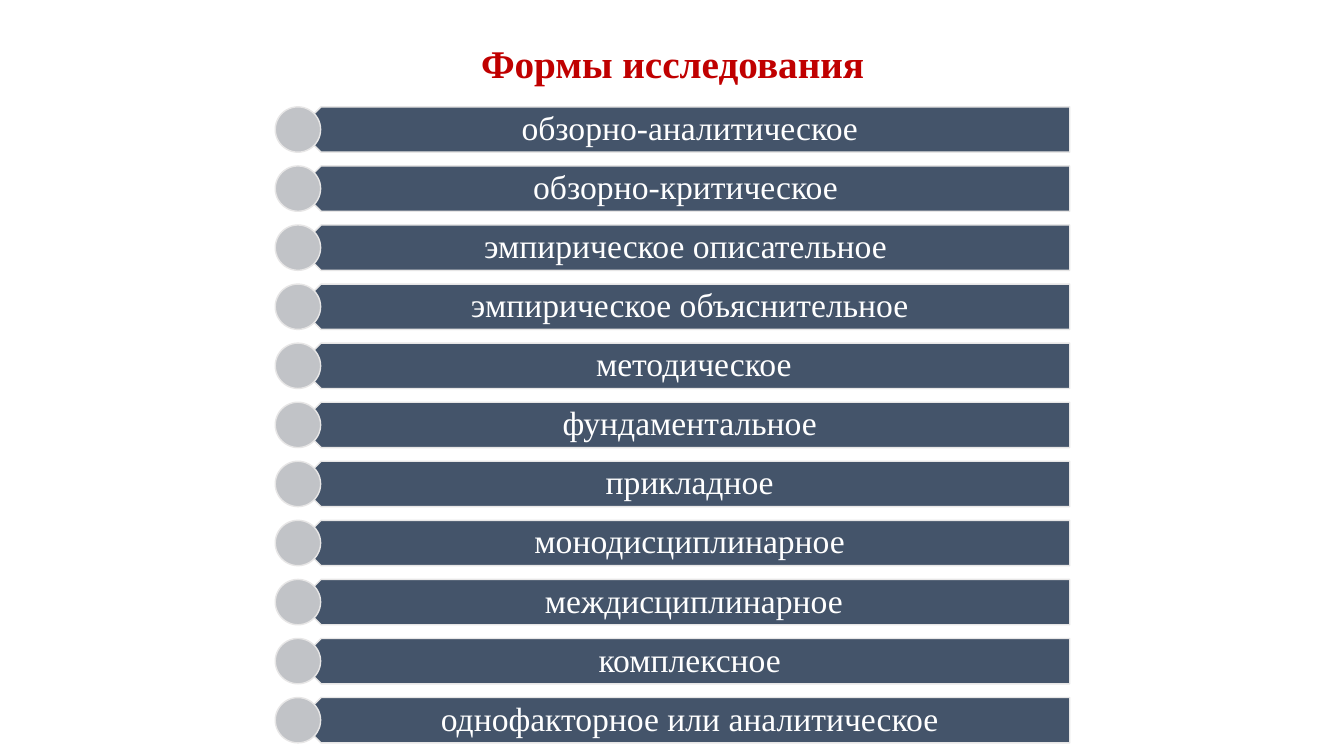
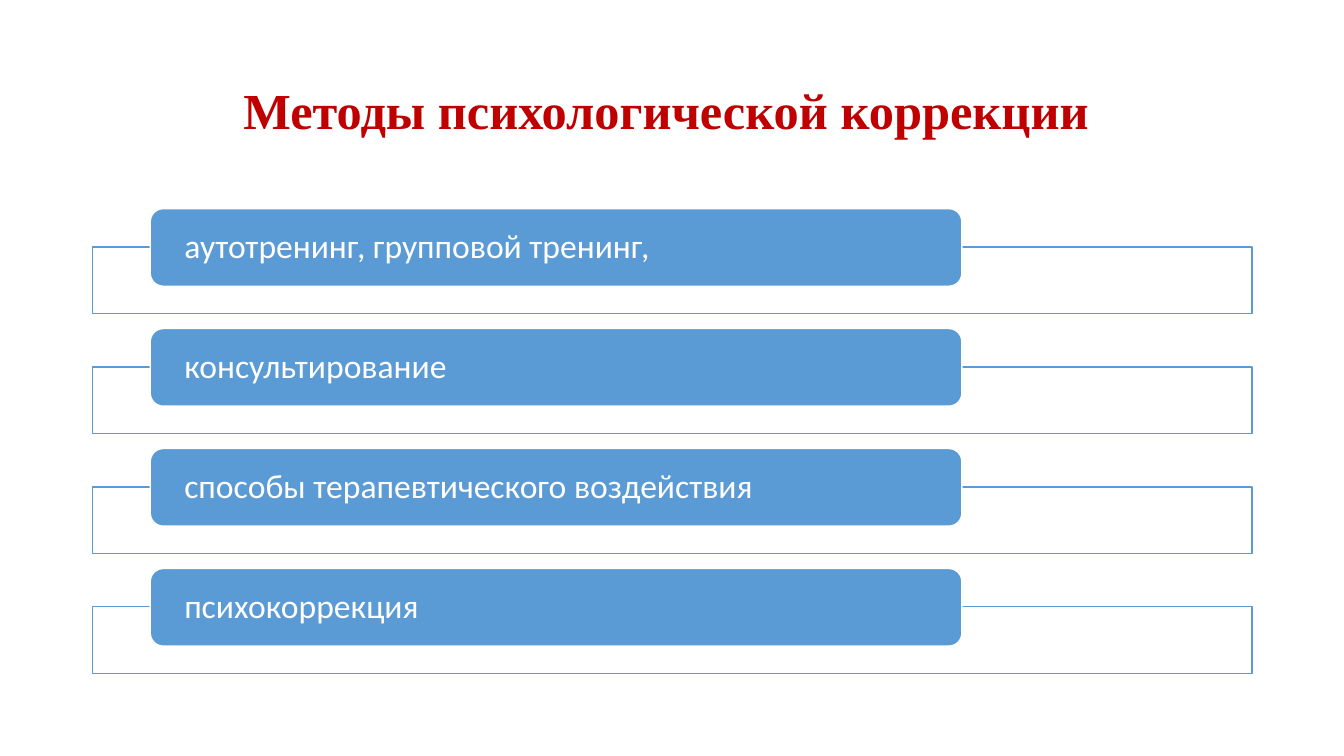
import pptx
import pptx.util
import pptx.dml.color
import pptx.enum.shapes
import pptx.enum.text
import pptx.oxml.ns
import lxml.etree

Inches = pptx.util.Inches
Pt = pptx.util.Pt
RGBColor = pptx.dml.color.RGBColor
SHAPE = pptx.enum.shapes.MSO_SHAPE
ALIGN = pptx.enum.text.PP_ALIGN
qn = pptx.oxml.ns.qn

RED = RGBColor(0xC0, 0x00, 0x00)
SLATE = RGBColor(0x44, 0x54, 0x6A)
SILVER = RGBColor(0xC1, 0xC3, 0xC7)
PALE = RGBColor(0xE7, 0xE6, 0xE6)
BLUE = RGBColor(0x5B, 0x9B, 0xD5)
WHITE = RGBColor(0xFF, 0xFF, 0xFF)
SERIF = "Times New Roman"
SANS = "Calibri"

RESEARCH_FORMS = [
    "обзорно-аналитическое",
    "обзорно-критическое ",
    "эмпирическое описательное ",
    "эмпирическое объяснительное",
    " методическое",
    "фундаментальное",
    "прикладное",
    "монодисциплинарное",
    " междисциплинарное",
    "комплексное",
    "однофакторное или аналитическое",
]
CORRECTION_METHODS = [
    "аутотренинг, групповой тренинг,",
    "консультирование",
    "способы терапевтического воздействия",
    "психокоррекция",
]


class Deck:
    """Holds the presentation, its shared style and the current slide."""

    def __init__(self):
        self.presentation = pptx.Presentation()
        self.presentation.slide_width = Inches(13.33)
        self.presentation.slide_height = Inches(7.5)
        self.slide = None

    def new_slide(self, heading, height, size):
        layout = self.presentation.slide_layouts[5]
        self.slide = self.presentation.slides.add_slide(layout)
        title = self.slide.shapes.title
        title.left, title.top = Inches(0.92), Inches(0.4)
        title.width, title.height = Inches(11.5), Inches(height)
        self.set_text(title, heading, size, SERIF, RED, ALIGN.CENTER, bold=True)

    def set_text(self, holder, text, size, font, color, align, bold=False):
        frame = holder.text_frame
        frame.word_wrap = True
        frame.auto_size = pptx.enum.text.MSO_AUTO_SIZE.NONE
        frame.vertical_anchor = pptx.enum.text.MSO_ANCHOR.MIDDLE
        paragraph = frame.paragraphs[0]
        paragraph.alignment = align
        paragraph.line_spacing = 0.9
        run = paragraph.add_run()
        run.text = text
        run.font.size = Pt(size)
        run.font.name = font
        run.font.bold = bold
        run.font.color.rgb = color

    def block(self, preset, left, top, width, height, fill, line):
        shape = self.slide.shapes.add_shape(
            preset, Inches(left), Inches(top), Inches(width), Inches(height))
        shape.shadow.inherit = False
        shape.fill.solid()
        shape.fill.fore_color.rgb = fill
        shape.line.color.rgb = line
        shape.line.width = Pt(1)
        return shape

    def label(self, shape, text, font, align, inset):
        frame = shape.text_frame
        frame.margin_left = frame.margin_right = Inches(inset)
        frame.margin_top = frame.margin_bottom = 0
        self.set_text(shape, text, 24, font, WHITE, align)

    def form_row(self, top, text):
        bar = self.block(SHAPE.PENTAGON, 2.96, top, 7.65, 0.45, SLATE, PALE)
        bar._element.spPr.find(qn("a:xfrm")).set("flipH", "1")
        self.label(bar, text, SERIF, ALIGN.CENTER, 0.2)
        self.block(SHAPE.OVAL, 2.73, top, 0.45, 0.45, SILVER, PALE)

    def method_row(self, top, text):
        frame = self.block(SHAPE.RECTANGLE, 0.92, top + 0.38, 11.5, 0.66, WHITE, BLUE)
        color = frame._element.spPr.find(qn("a:solidFill"))[0]
        lxml.etree.SubElement(color, qn("a:alpha")).set("val", "90000")
        tab = self.block(SHAPE.ROUNDED_RECTANGLE, 1.49, top, 8.05, 0.77, BLUE, WHITE)
        self.label(tab, text, SANS, ALIGN.LEFT, 0.3)

    def rows(self, draw_row, texts, first, last):
        pitch = (last - first) / (len(texts) - 1)
        for index, text in enumerate(texts):
            draw_row(first + index * pitch, text)


def main():
    deck = Deck()
    deck.new_slide("Формы исследования", 0.51, 28)
    deck.rows(deck.form_row, RESEARCH_FORMS, 1.06, 6.92)
    deck.new_slide("Методы психологической коррекции ", 1.45, 36)
    deck.rows(deck.method_row, CORRECTION_METHODS, 2.07, 5.64)
    deck.presentation.save("out.pptx")


if __name__ == "__main__":
    main()
